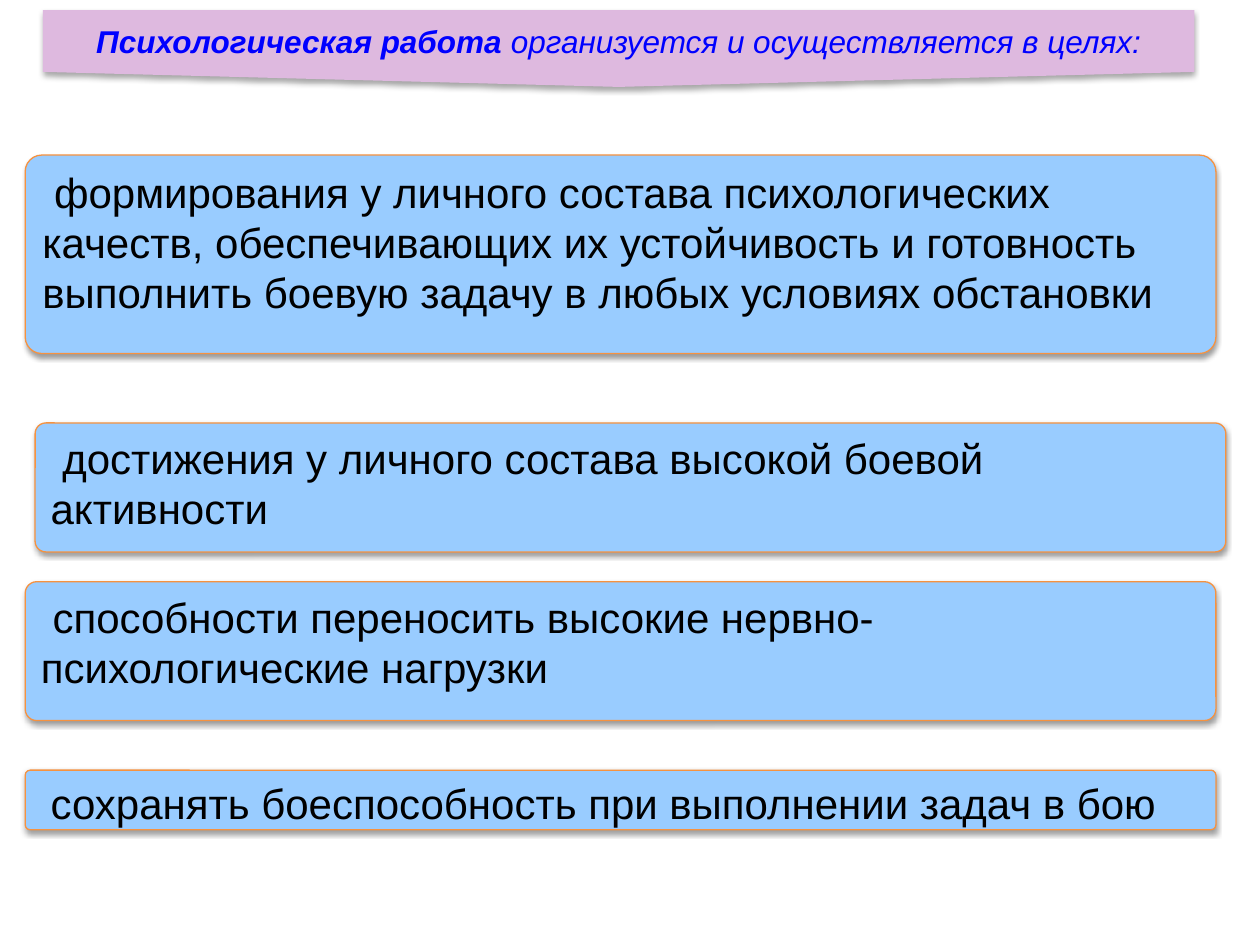
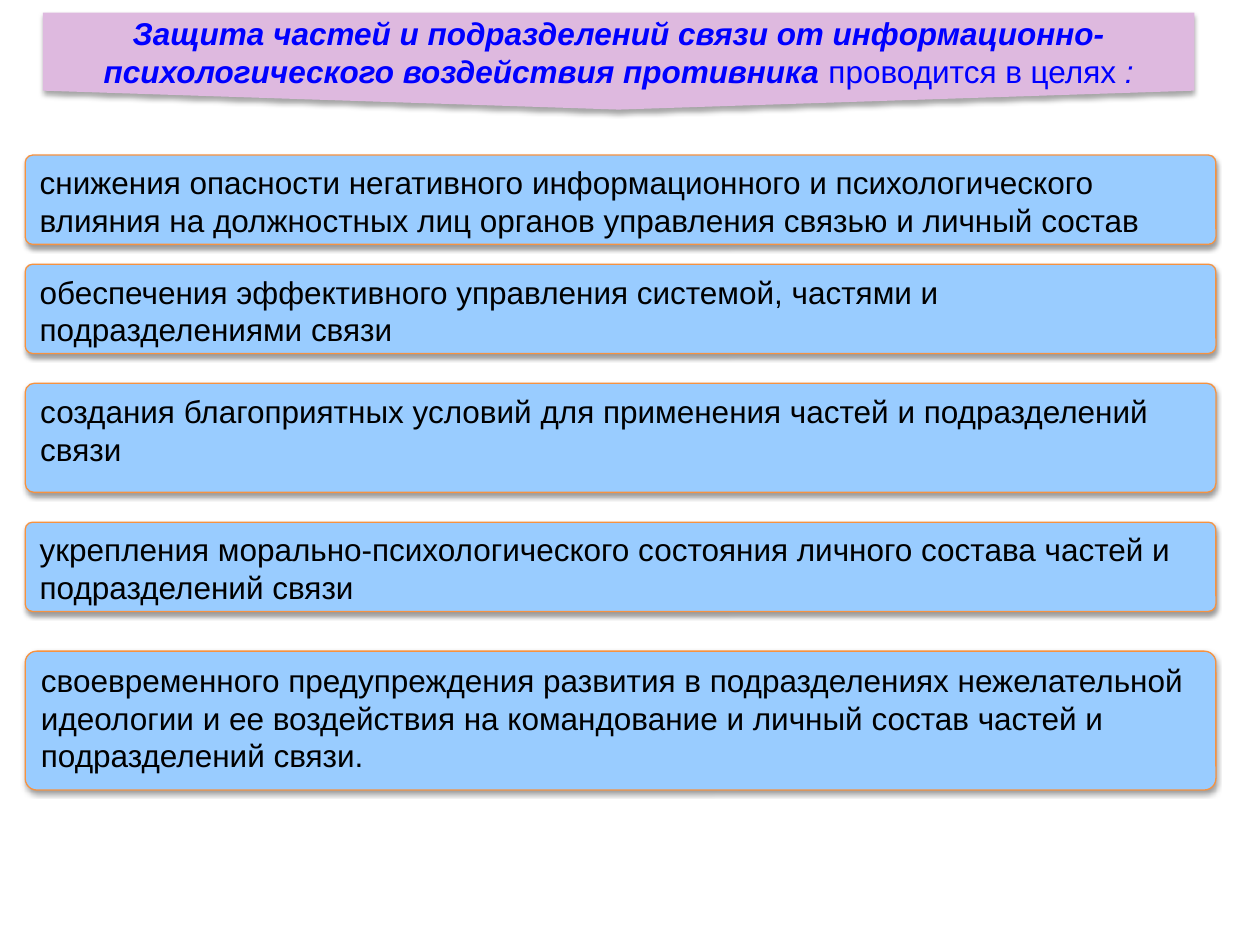
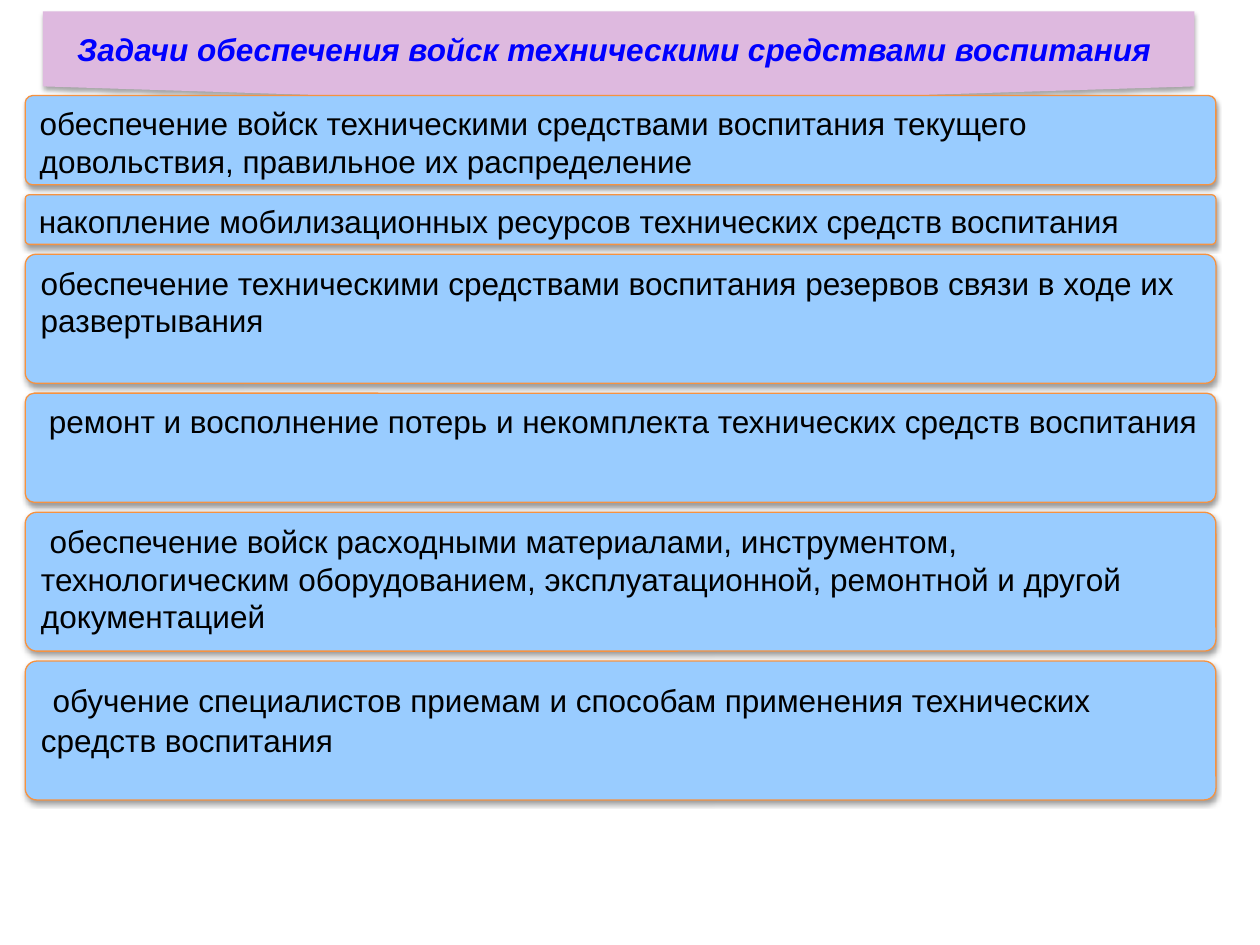
from lxml.etree import SubElement
from pptx import Presentation
from pptx.dml.color import RGBColor
from pptx.enum.shapes import MSO_SHAPE
from pptx.enum.text import MSO_ANCHOR, MSO_AUTO_SIZE, PP_ALIGN
from pptx.oxml.ns import qn
from pptx.util import Cm, Inches, Pt

COLORS = {
    "banner": "DEB9DF",
    "title": "0000FF",
    "card": "99CCFF",
    "border": "F69240",
    "text": "000000",
    "shadow": "000000",
}
FONT = "Arial"
TITLE_SIZE = 18
GRID = Cm(0.2)
GRID_TOP = Inches(0.05)
CARD_LEFT = Inches(0.2)
CARD_WIDTH = Inches(9.45)
BANNER_LEFT = Inches(0.34)
BANNER_WIDTH = Inches(9.14)
ARROW_HEAD = 0.195
CARD_CORNER = 0.083

SLIDES = [
    {
        "banner": (0.08, 0.61),
        "title": [
            ("Психологическая работа", True, True),
            (" организуется и осуществляется в целях:", False, True),
        ],
        "size": 24,
        "cards": [
            (0, 15, 20, " формирования у личного состава психологических качеств, обеспечивающих их устойчивость и готовность выполнить боевую задачу в любых условиях обстановки"),
            (1, 42, 13, " достижения у личного состава высокой боевой активности"),
            (0, 58, 14, " способности переносить высокие нервно-психологические нагрузки"),
            (0, 77, 6, " сохранять боеспособность при выполнении задач в бою"),
        ],
    },
    {
        "banner": (0.1, 0.77),
        "title": [
            ("Защита частей и подразделений связи от информационно-психологического воздействия противника", True, True),
            (" проводится в целях ", False, False),
            (":", False, True),
        ],
        "size": 18,
        "cards": [
            (0, 15, 9, "снижения опасности негативного информационного и психологического влияния на должностных лиц органов управления связью и личный состав"),
            (0, 26, 9, "обеспечения эффективного управления системой, частями и подразделениями связи"),
            (0, 38, 11, "создания благоприятных условий для применения частей и подразделений связи"),
            (0, 52, 9, "укрепления морально-психологического состояния личного состава частей и подразделений связи"),
            (0, 65, 14, "своевременного предупреждения развития в подразделениях нежелательной идеологии и ее воздействия на командование и личный состав частей и подразделений связи."),
        ],
    },
    {
        "banner": (0.09, 0.74),
        "title": [("Задачи обеспечения войск техническими средствами воспитания ", True, True)],
        "size": 18,
        "cards": [
            (0, 9, 9, "обеспечение войск техническими средствами воспитания текущего довольствия, правильное их распределение"),
            (0, 19, 5, "накопление мобилизационных ресурсов технических средств воспитания"),
            (0, 25, 13, "обеспечение техническими средствами воспитания резервов связи в ходе их развертывания"),
            (0, 39, 11, " ремонт и восполнение потерь и некомплекта технических средств воспитания"),
            (0, 51, 14, " обеспечение войск расходными материалами, инструментом, технологическим оборудованием, эксплуатационной, ремонтной и другой документацией"),
            (0, 66, 14, (" ", 24), "обучение специалистов приемам и способам применения технических средств воспитания"),
        ],
    },
]


def color(name):
    return RGBColor.from_string(COLORS[name])


def add_run(p, text, size, color_name, bold=False, italic=False):
    r = p.add_run()
    r.text = text
    f = r.font
    f.name, f.size, f.bold, f.italic = FONT, Pt(size), bold, italic
    f.color.rgb = color(color_name)


def add_shadow(sp, distance, opacity):
    sp.shadow.inherit = False
    effects = sp.element.spPr.find(qn("a:effectLst"))
    shadow = SubElement(effects, qn("a:outerShdw"), blurRad=str(Pt(3.1)),
                        dist=str(Pt(distance)), dir="5400000", rotWithShape="0")
    rgb = SubElement(shadow, qn("a:srgbClr"), val=COLORS["shadow"])
    SubElement(rgb, qn("a:alpha"), val=str(opacity * 1000))


def add_filled(s, kind, box, fill):
    sp = s.shapes.add_shape(kind, *box)
    sp.fill.solid()
    sp.fill.fore_color.rgb = color(fill)
    return sp


def add_banner(s, box, runs):
    left, top, width, height = box
    arrow = add_filled(s, MSO_SHAPE.DOWN_ARROW, box, "banner")
    arrow.adjustments[0] = 1
    arrow.adjustments[1] = ARROW_HEAD
    arrow.line.fill.background()
    add_shadow(arrow, 1.8, 35)

    title = s.shapes.title
    title.element.addprevious(arrow.element)
    title.left, title.top, title.width = left, top, width
    title.height = round(height * (1 - ARROW_HEAD))
    tf = title.text_frame
    tf.word_wrap = True
    tf.auto_size = MSO_AUTO_SIZE.NONE
    tf.vertical_anchor = MSO_ANCHOR.MIDDLE
    tf.margin_top = tf.margin_bottom = 0
    p = tf.paragraphs[0]
    p.alignment = PP_ALIGN.CENTER
    for text, bold, italic in runs:
        add_run(p, text, TITLE_SIZE, "title", bold, italic)


def add_card(s, box, runs, size):
    card = add_filled(s, MSO_SHAPE.ROUNDED_RECTANGLE, box, "card")
    card.adjustments[0] = CARD_CORNER
    card.line.color.rgb = color("border")
    card.line.width = Pt(0.75)
    add_shadow(card, 1.6, 38)
    tf = card.text_frame
    tf.word_wrap = True
    tf.vertical_anchor = MSO_ANCHOR.TOP
    p = tf.paragraphs[0]
    p.alignment = PP_ALIGN.LEFT
    for run in runs:
        text, run_size = (run, size) if isinstance(run, str) else run
        add_run(p, text, run_size, "text")


def add_goal_slide(prs, content):
    s = prs.slides.add_slide(prs.slide_layouts.get_by_name("Title Only"))
    top, height = map(Inches, content["banner"])
    add_banner(s, (BANNER_LEFT, top, BANNER_WIDTH, height), content["title"])
    for column, row, rows, *runs in content["cards"]:
        box = (CARD_LEFT + column * GRID, GRID_TOP + row * GRID, CARD_WIDTH, rows * GRID)
        add_card(s, box, runs, content["size"])


def main():
    prs = Presentation()
    prs.slide_width, prs.slide_height = Inches(10), Inches(7.5)
    for content in SLIDES:
        add_goal_slide(prs, content)
    prs.save("out.pptx")


if __name__ == "__main__":
    main()
